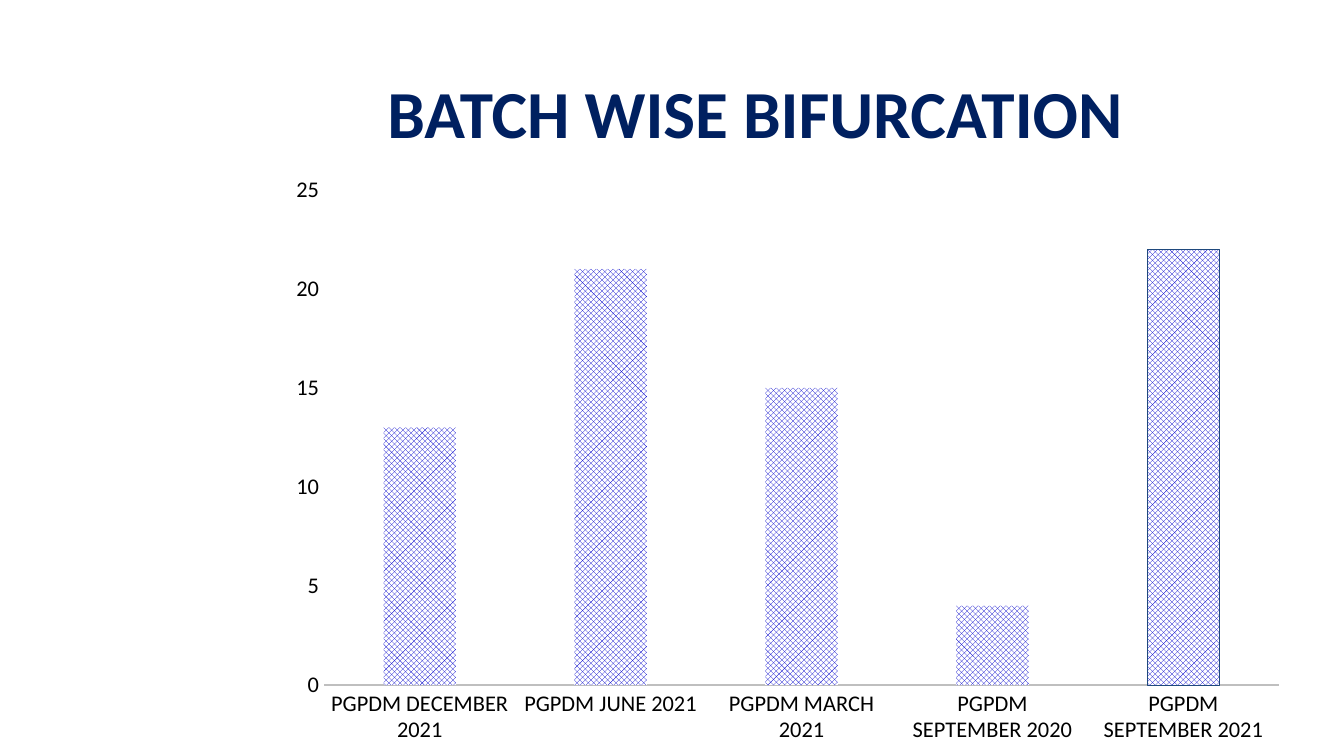
from lxml import etree
from pptx import Presentation
from pptx.chart.data import CategoryChartData
from pptx.dml.color import RGBColor
from pptx.enum.chart import XL_CHART_TYPE, XL_TICK_MARK
from pptx.enum.dml import MSO_PATTERN
from pptx.enum.text import MSO_ANCHOR, PP_ALIGN
from pptx.oxml.ns import qn
from pptx.util import Inches, Pt

COLUMN = XL_CHART_TYPE.COLUMN_CLUSTERED
NO_TICK = XL_TICK_MARK.NONE
TRELLIS, NARROW = MSO_PATTERN.TRELLIS, MSO_PATTERN.NARROW_HORIZONTAL
MIDDLE, CENTER = MSO_ANCHOR.MIDDLE, PP_ALIGN.CENTER

FONT = "Calibri"
COLORS = {"title": "002060", "text": "000000", "axis": "BFBFBF",
          "bar": "0000CC", "white": "FFFFFF", "outline": "1F497D",
          "series": "426B9D", "series_bg": "D6E1EE"}
WIDTH = Inches(10)
HEIGHT = WIDTH * 9 // 16
UNIT = WIDTH // 160  # square grid of 160 columns by 90 rows
BATCHES = {"PGPDM DECEMBER 2021": 13, "PGPDM JUNE 2021": 21,
           "PGPDM MARCH 2021": 15, "PGPDM SEPTEMBER 2020": 4,
           "PGPDM SEPTEMBER 2021": 22}


def rgb(name):
    return RGBColor.from_string(COLORS[name])


def grid(*cells):
    """Turn column, row, columns, rows into a box."""
    return [int(n * UNIT) for n in cells]


def set_font(font, size, color, bold=False):
    font.name, font.size, font.bold = FONT, Pt(size), bold
    font.color.rgb = rgb(color)


def set_pattern(fmt, pattern, fore, back):
    fmt.fill.patterned()
    fmt.fill.pattern = pattern
    fmt.fill.fore_color.rgb, fmt.fill.back_color.rgb = rgb(fore), rgb(back)


def place_plot(chart, x, y, w, h):
    """Fix the inner plot area, in shares of the chart's box."""
    area = chart._chartSpace.chart.plotArea
    for old in area.findall(qn("c:layout")):
        area.remove(old)
    layout = etree.Element(qn("c:layout"))
    manual = etree.SubElement(layout, qn("c:manualLayout"))
    values = {"layoutTarget": "inner", "xMode": "edge", "yMode": "edge",
              "x": x, "y": y, "w": w, "h": h}
    for tag, value in values.items():
        etree.SubElement(manual, qn("c:" + tag)).set("val", str(value))
    area.insert(0, layout)


def add_title(slide, box, text):
    tf = slide.shapes.add_textbox(*box).text_frame
    tf.word_wrap, tf.vertical_anchor = True, MIDDLE
    p = tf.paragraphs[0]
    p.text, p.alignment = text, CENTER
    set_font(p.font, 36, "title", bold=True)


def add_batch_chart(slide, box):
    data = CategoryChartData()
    data.categories = list(BATCHES)
    data.add_series("Series 1", list(BATCHES.values()))
    chart = slide.shapes.add_chart(COLUMN, *box, data).chart
    chart.has_legend = chart.has_title = False
    set_font(chart.font, 10, "text")
    place_plot(chart, 0.05, 0.04, 0.93, 0.84)

    # Axes
    for axis in (chart.category_axis, chart.value_axis):
        axis.has_major_gridlines = False
        axis.major_tick_mark = axis.minor_tick_mark = NO_TICK
        set_font(axis.tick_labels.font, 12, "text")
    line = chart.category_axis.format.line
    line.color.rgb, line.width = rgb("axis"), Pt(1.5)
    values = chart.value_axis
    values.format.line.fill.background()
    values.minimum_scale, values.maximum_scale, values.major_unit = 0, 25, 5

    # Hatched bars, the last one with a hairline outline
    plot = chart.plots[0]
    plot.gap_width, plot.overlap, plot.vary_by_categories = 164, -22, False
    series = plot.series[0]
    series.invert_if_negative = False
    set_pattern(series.format, NARROW, "series", "series_bg")
    for i in range(len(BATCHES)):
        fmt = series.points[i].format
        set_pattern(fmt, TRELLIS, "bar", "white")
        fmt.line.fill.background()
    fmt.line.color.rgb, fmt.line.width = rgb("outline"), Pt(0.25)


def main():
    prs = Presentation()
    prs.slide_width, prs.slide_height = WIDTH, HEIGHT
    slide = prs.slides.add_slide(prs.slide_layouts[6])
    add_title(slide, grid(30.4, 7, 119, 12.6), "BATCH WISE BIFURCATION")
    add_batch_chart(slide, grid(32.5, 19.8, 122.2, 70.2))
    prs.save("out.pptx")


if __name__ == "__main__":
    main()
